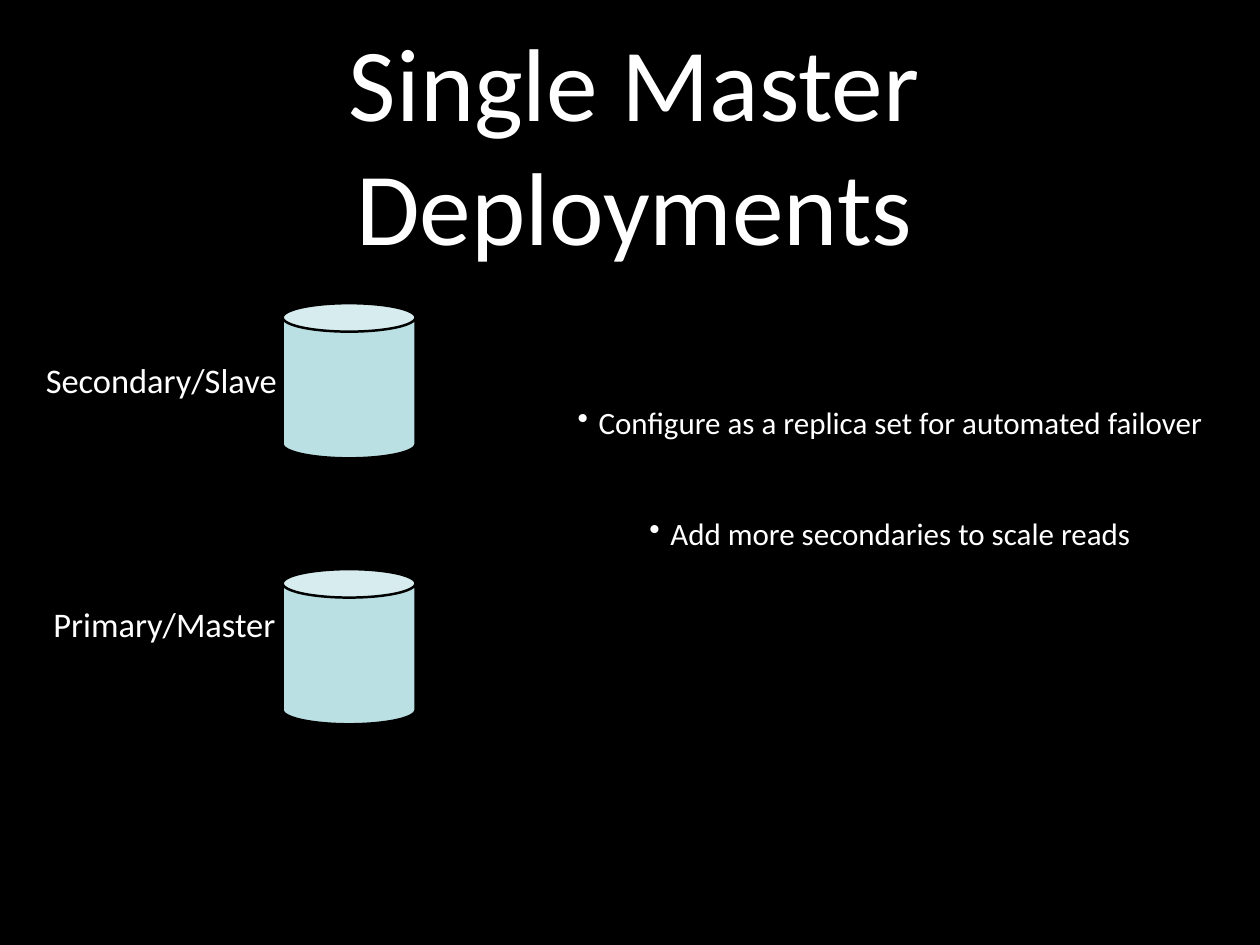
import pptx
import pptx.dml.color
import pptx.enum.shapes
import pptx.enum.text
import pptx.oxml.ns
import pptx.util
from lxml import etree

Inches = pptx.util.Inches
Pt = pptx.util.Pt
RGBColor = pptx.dml.color.RGBColor
ANCHOR = pptx.enum.text.MSO_ANCHOR

BLACK = RGBColor(0x00, 0x00, 0x00)
WHITE = RGBColor(0xFF, 0xFF, 0xFF)
AQUA = RGBColor(0xBB, 0xE0, 0xE3)
FONT = "Calibri"


def add_text(slide, box, lines, size, anchor=ANCHOR.TOP, inset=(0.1, 0.05), gap=0, bullet=None):
    """Add a centred text box with one paragraph per line."""
    frame = slide.shapes.add_textbox(*map(Inches, box)).text_frame
    frame.word_wrap = True
    frame.vertical_anchor = anchor
    frame.margin_left = frame.margin_right = Inches(inset[0])
    frame.margin_top = frame.margin_bottom = Inches(inset[1])
    for i, line in enumerate(lines):
        para = frame.paragraphs[0] if i == 0 else frame.add_paragraph()
        para.alignment = pptx.enum.text.PP_ALIGN.CENTER
        para.space_before = Pt(gap if i else 0)
        run = para.add_run()
        run.text = line
        run.font.name = FONT
        run.font.size = Pt(size)
        run.font.color.rgb = WHITE
        if bullet:
            mark = etree.SubElement(para._p.get_or_add_pPr(), pptx.oxml.ns.qn("a:buChar"))
            mark.set("char", bullet)


def add_title(slide, box):
    """Add the slide title."""
    add_text(slide, box, ["Single Master Deployments"], 84,
             anchor=ANCHOR.MIDDLE, inset=(0.06, 0.06))


def add_server(slide, box, label, place):
    """Add a database can, with its label placed relative to the can."""
    left, top, width, height = box
    can = slide.shapes.add_shape(pptx.enum.shapes.MSO_SHAPE.CAN, *map(Inches, box))
    can.adjustments[0] = 0.214
    can.shadow.inherit = False
    can.fill.solid()
    can.fill.fore_color.rgb = AQUA
    can.line.color.rgb = BLACK
    can.line.width = Pt(2)
    right, down, wide = place
    add_text(slide, (left + right, top + down, wide, 0.57), [label], 28)


def add_notes(slide, box):
    """Add the bulleted advice."""
    lines = ["Configure as a replica set for automated failover",
             "Add more secondaries to scale reads"]
    add_text(slide, box, lines, 25.2, gap=60, bullet="•")


def main():
    """Build and save the slide."""
    deck = pptx.Presentation()
    deck.slide_width, deck.slide_height = Inches(14.22), Inches(10.66)
    slide = deck.slides.add_slide(deck.slide_layouts[6])
    slide.background.fill.solid()
    slide.background.fill.fore_color.rgb = BLACK
    add_title(slide, (1.44, 0.67, 11.44, 1.86))
    add_server(slide, (3.19, 6.42, 1.5, 1.75), "Primary/Master", (-2.86, 0.33, 3.05))
    add_server(slide, (3.19, 3.42, 1.5, 1.75), "Secondary/Slave", (-2.97, 0.58, 3.2))
    add_notes(slide, (5.44, 4.5, 9.32, 2.35))
    deck.save("out.pptx")


main()
